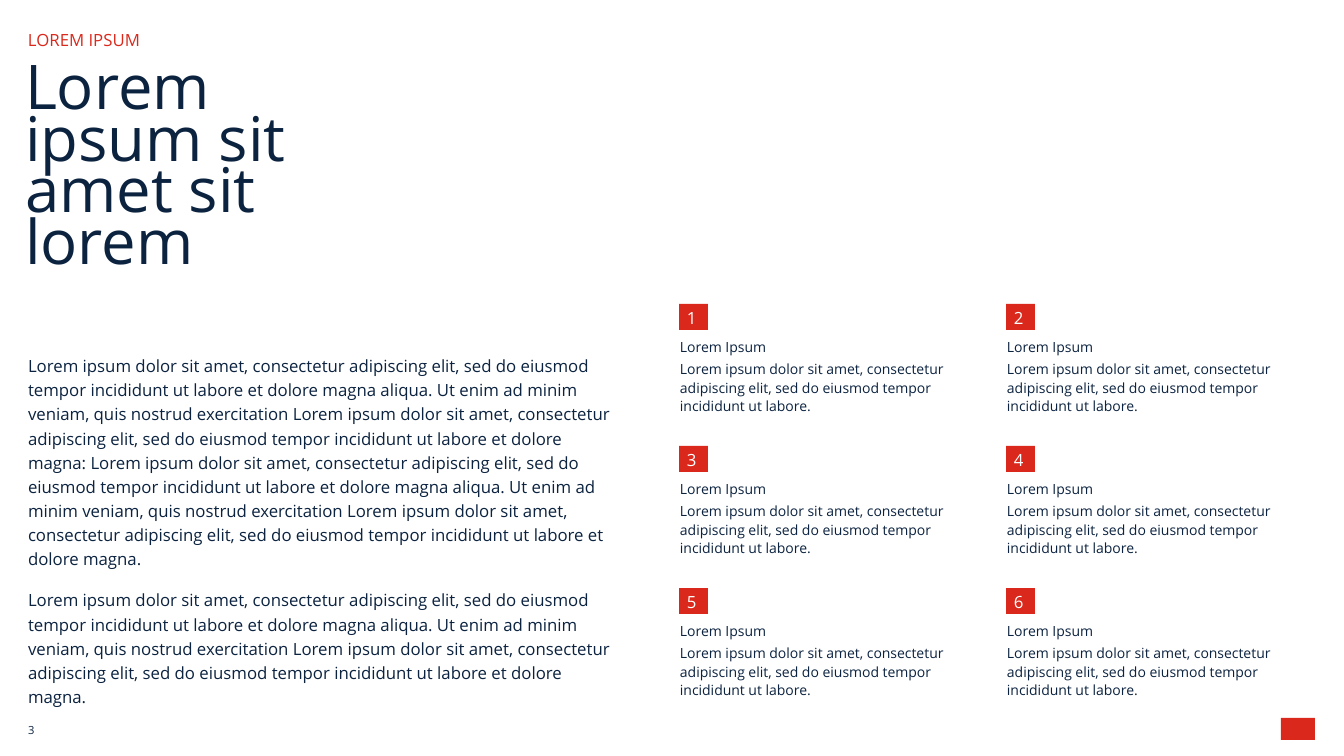
from pptx import Presentation
from pptx.dml.color import RGBColor
from pptx.enum.shapes import MSO_SHAPE
from pptx.enum.text import MSO_ANCHOR, MSO_AUTO_SIZE, PP_ALIGN
from pptx.oxml.ns import qn
from pptx.util import Emu, Pt

RECTANGLE = MSO_SHAPE.RECTANGLE
TOP, MIDDLE, BOTTOM = MSO_ANCHOR.TOP, MSO_ANCHOR.MIDDLE, MSO_ANCHOR.BOTTOM
NO_AUTOFIT = MSO_AUTO_SIZE.NONE
LEFT = PP_ALIGN.LEFT

NAVY, RED, WHITE = "0C2340", "DA291C", "FFFFFF"
FONT = "Open Sans"

SUMMARY = (
    "Lorem ipsum dolor sit amet, consectetur adipiscing elit, sed do eiusmod "
    "tempor incididunt ut labore et dolore magna aliqua. Ut enim ad minim veniam, "
    "quis nostrud exercitation Lorem ipsum dolor sit amet, consectetur adipiscing "
    "elit, sed do eiusmod tempor incididunt ut labore et dolore magna"
)
NARRATIVE = [f"{SUMMARY}: {SUMMARY}.", f"{SUMMARY}."]
POINT_TEXT = (
    "Lorem ipsum dolor sit amet, consectetur adipiscing elit, "
    "sed do eiusmod tempor incididunt ut labore."
)
POINTS = [("Lorem Ipsum", POINT_TEXT)] * 6


def px(length):
    return Emu(round(length * 914400 / 100.8))


def rgb(value):
    return RGBColor.from_string(value)


class SlideBuilder:
    def __init__(self, slide, font):
        self.slide = slide
        self.font = font

    def fill_text(self, shape, paragraphs, size, color=NAVY, spacing=1.0, after=0,
                  inset_top=0, anchor=TOP):
        frame = shape.text_frame
        frame.word_wrap = True
        frame.auto_size = NO_AUTOFIT
        frame.vertical_anchor = anchor
        frame.margin_left = frame.margin_right = frame.margin_bottom = 0
        frame.margin_top = px(inset_top)
        for index, text in enumerate(paragraphs):
            paragraph = frame.add_paragraph() if index else frame.paragraphs[0]
            paragraph.alignment = LEFT
            paragraph.line_spacing = spacing
            paragraph.space_before = Pt(0)
            paragraph.space_after = Pt(after)
            if shape.is_placeholder:
                self.clear_bullet(paragraph)
            run = paragraph.add_run()
            run.text = text
            run.font.name = self.font
            run.font.size = Pt(size)
            run.font.color.rgb = rgb(color)

    def clear_bullet(self, paragraph):
        properties = paragraph._p.get_or_add_pPr()
        properties.set("marL", "0")
        properties.set("indent", "0")
        properties.append(properties.makeelement(qn("a:buNone"), {}))

    def placeholder(self, index, box, paragraphs, size, **style):
        holder = self.slide.placeholders[index]
        holder.left, holder.top, holder.width, holder.height = map(px, box)
        self.fill_text(holder, paragraphs, size, **style)

    def text(self, box, content, size, **style):
        text_box = self.slide.shapes.add_textbox(*map(px, box))
        self.fill_text(text_box, [content], size, **style)

    def block(self, box, color):
        rectangle = self.slide.shapes.add_shape(RECTANGLE, *map(px, box))
        rectangle.shadow.inherit = False
        rectangle.fill.solid()
        rectangle.fill.fore_color.rgb = rgb(color)
        rectangle.line.fill.background()

    def numbered_point(self, left, top, number, heading, detail):
        self.block((left, top, 29, 26), RED)
        self.text((left + 8, top, 13, 21), str(number), 12, color=WHITE, inset_top=4)
        self.text((left + 1, top + 31, 268, 40), heading, 10, inset_top=4)
        self.text((left + 1, top + 51, 268, 65), detail, 10, spacing=1.1, after=12,
                  inset_top=4)


def main():
    presentation = Presentation()
    presentation.slide_width, presentation.slide_height = px(1344), px(756)
    slide = presentation.slides.add_slide(presentation.slide_layouts[1])
    builder = SlideBuilder(slide, FONT)

    builder.text((28, 26, 225, 22), "LOREM IPSUM", 12, color=RED, spacing=Pt(16.8))
    builder.placeholder(0, (25, 68, 278, 237), ["Lorem ipsum sit amet sit lorem"], 44,
                        spacing=0.7)
    builder.placeholder(1, (28, 350, 596, 357), NARRATIVE, 12, spacing=1.2, after=12,
                        anchor=BOTTOM)

    for index, (heading, detail) in enumerate(POINTS):
        row, column = divmod(index, 2)
        builder.numbered_point(679 + 327 * column, 304 + 142 * row, index + 1,
                               heading, detail)

    builder.text((28, 719, 54, 22), "3", 8, anchor=MIDDLE)
    builder.block((1281, 718, 34, 22), RED)
    presentation.save("out.pptx")


if __name__ == "__main__":
    main()
